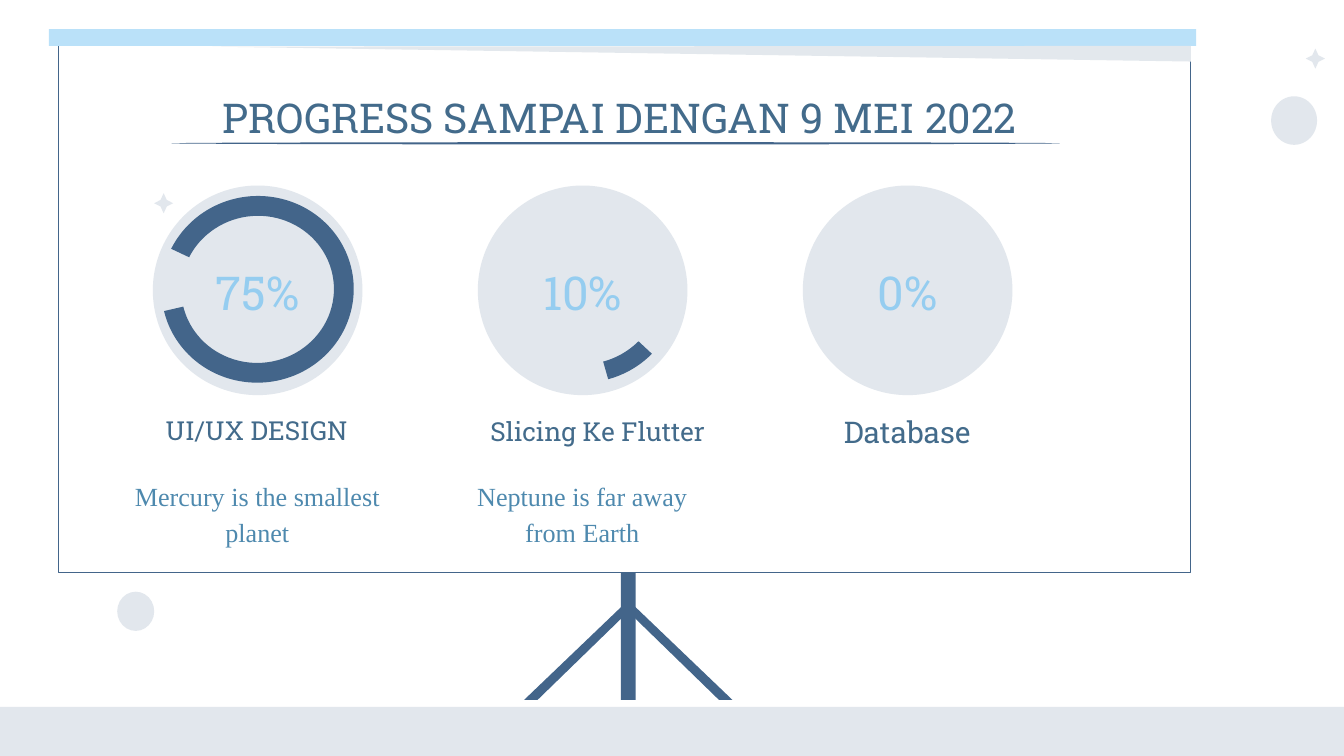
import pptx
import pptx.util
import pptx.dml.color
import pptx.enum.shapes
import pptx.enum.text

Pt = pptx.util.Pt
RGB = pptx.dml.color.RGBColor
Kind = pptx.enum.shapes.MSO_SHAPE
Anchor = pptx.enum.text.MSO_ANCHOR
Align = pptx.enum.text.PP_ALIGN

NAVY = RGB(0x43, 0x65, 0x8A)
INK = RGB(0x43, 0x6B, 0x8B)
TEAL = RGB(0x4E, 0x89, 0xAE)
SKY = RGB(0x95, 0xCD, 0xF0)
PALE = RGB(0xBA, 0xE1, 0xF9)
MIST = RGB(0xE2, 0xE7, 0xED)
SHADE = RGB(0xE3, 0xE8, 0xED)
WHITE = RGB(0xFF, 0xFF, 0xFF)


class Board:
    slab = "Roboto Slab"
    serif = "Times New Roman"
    inset = Pt(7.2)

    def __init__(self, slide):
        self.slide = slide

    def paint(self, shape, fill, line=None):
        shape.shadow.inherit = False
        shape.fill.solid()
        shape.fill.fore_color.rgb = fill
        if line is None:
            shape.line.fill.background()
        else:
            shape.line.color.rgb = line
            shape.line.width = Pt(0.5)

    def shape(self, kind, box, fill, line=None, turn=0, bends=()):
        item = self.slide.shapes.add_shape(kind, *map(Pt, box))
        self.paint(item, fill, line)
        item.rotation = turn
        for i, bend in enumerate(bends):
            item.adjustments[i] = bend

    def outline(self, points, fill):
        first, *rest = [(Pt(x), Pt(y)) for x, y in points]
        pen = self.slide.shapes.build_freeform(*first)
        pen.add_line_segments(rest, close=True)
        self.paint(pen.convert_to_shape(), fill)

    def text(self, words, box, size, color, font=slab, anchor=Anchor.TOP):
        frame = self.slide.shapes.add_textbox(*map(Pt, box)).text_frame
        frame.word_wrap = True
        frame.vertical_anchor = anchor
        frame.margin_left = frame.margin_right = self.inset
        frame.margin_top = frame.margin_bottom = self.inset
        para = frame.paragraphs[0]
        para.text = words
        para.alignment = Align.CENTER
        para.font.size = Pt(size)
        para.font.name = font
        para.font.color.rgb = color
        return para

    def note(self, words, box):
        para = self.text(words, box, 14, TEAL, self.serif)
        para.line_spacing = 1.15
        para.space_after = Pt(16)

    def dial(self, left, value, top, high, bends):
        self.shape(Kind.OVAL, (left, 99.4, 112.3, 112.3), MIST)
        if bends:
            self.shape(Kind.BLOCK_ARC, (left + 4.6, 105, 103, 100),
                       NAVY, turn=175.6, bends=bends)
        self.text(value, (left, top, 112.3, high), 25, SKY,
                  anchor=Anchor.MIDDLE)


def main():
    deck = pptx.Presentation()
    deck.slide_width = Pt(720)
    deck.slide_height = Pt(405)
    board = Board(deck.slides.add_slide(deck.slide_layouts[6]))

    mid = 336.6
    board.shape(Kind.RECTANGLE, (mid - 4, 232.6, 8, 142.4), NAVY)
    for side in (-1, 1):
        leg = ((1.8, 323.3), (55.8, 375), (48.6, 375), (-1.8, 326))
        board.outline([(mid + side * x, y) for x, y in leg], NAVY)

    board.shape(Kind.RECTANGLE, (31.4, 24.6, 606.6, 282.1), WHITE, NAVY)
    board.shape(Kind.RECTANGLE, (26.2, 15.6, 614.6, 9), PALE)
    board.outline([(638, 24.6), (113.8, 25), (638, 33)], SHADE)
    board.shape(Kind.OVAL, (91.8, 76.2, 476, 1.2), NAVY)
    board.shape(Kind.RECTANGLE, (0, 378.7, 720, 26.3), MIST)
    for box in ((681, 51.6, 24.6, 26), (62.8, 317, 19.8, 21)):
        board.shape(Kind.OVAL, box, MIST)
    for left, top in ((82.6, 103.5), (699.6, 26)):
        board.shape(Kind.STAR_4_POINT, (left, top, 10.2, 10.8), MIST,
                    bends=(0.23,))

    dials = (("75%", 134.6, 44, (17.72, 210.8, 0.106)),
             ("10%", 134.6, 44, (136.39, 155.12, 0.098)),
             ("0%", 132.5, 48, ()))
    for i, dial in enumerate(dials):
        board.dial(81.9 + 174.1 * i, *dial)

    board.text("PROGRESS SAMPAI DENGAN 9 MEI 2022",
               (69.8, 42.5, 524.2, 44), 22, INK)
    board.text("UI/UX DESIGN", (61.2, 214.6, 152.6, 36), 14, INK)
    board.text("Slicing Ke Flutter", (214.4, 215.3, 211.7, 36), 14, INK)
    board.text("Database", (409.7, 214.6, 152.6, 36), 16, INK)

    notes = ("Mercury is the smallest planet", "Neptune is far away from Earth")
    for i, words in enumerate(notes):
        board.note(words, (63.4 + 174.1 * i, 247.7, 149, 59.8))

    deck.save("out.pptx")


if __name__ == "__main__":
    main()
